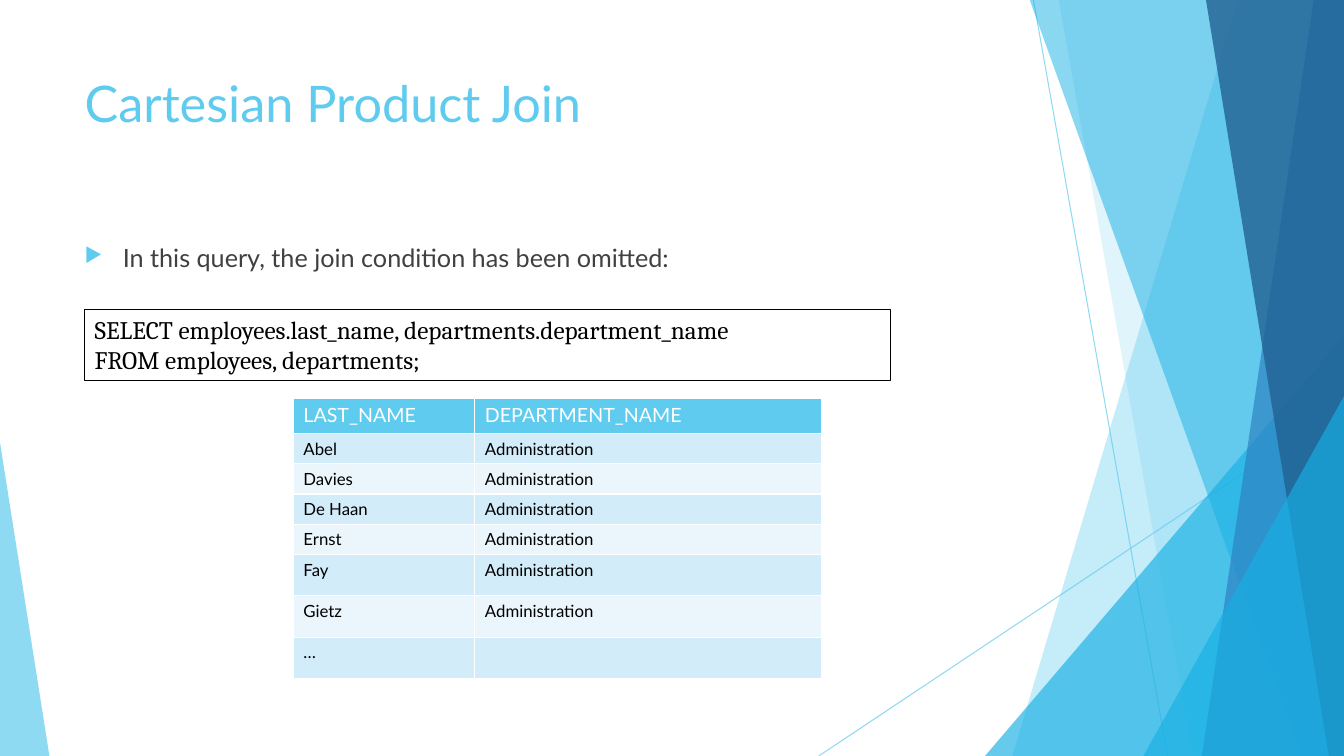
import dataclasses

import lxml.etree
import pptx
import pptx.dml.color
import pptx.enum.shapes
import pptx.enum.text
import pptx.oxml.ns
import pptx.util

Inches = pptx.util.Inches
RGBColor = pptx.dml.color.RGBColor
ShapeKind = pptx.enum.shapes.MSO_SHAPE
qn = pptx.oxml.ns.qn

SKY = RGBColor(0x5F, 0xCB, 0xEF)
CYAN = RGBColor(0x17, 0xB0, 0xE4)
BLUE = RGBColor(0x2E, 0x83, 0xC3)
NAVY = RGBColor(0x22, 0x62, 0x92)
BLACK = RGBColor(0, 0, 0)
WHITE = RGBColor(0xFF, 0xFF, 0xFF)
CHARCOAL = RGBColor(0x40, 0x40, 0x40)
DARK_BAND = RGBColor(0xD2, 0xEC, 0xF9)
LIGHT_BAND = RGBColor(0xEA, 0xF6, 0xFC)

WIDTH, HEIGHT, TOP = 13.33, 7.5, -0.01
BODY_FONT, CODE_FONT = "Lato", "Cambria"


@dataclasses.dataclass
class Ray:
    start: tuple[float, float]
    end: tuple[float, float]


@dataclasses.dataclass
class Ribbon:
    top_left: float
    bottom_left: float
    color: RGBColor
    opacity: int


@dataclasses.dataclass
class Corner:
    left: float
    top: float
    width: float
    apex: int
    color: RGBColor
    opacity: int


RAYS = [Ray((10.25, 0), (11.58, HEIGHT)), Ray((WIDTH, 4.03), (8.12, HEIGHT))]
FACETS = [
    Ribbon(12.28, 10.04, SKY, 36),
    Ribbon(10.5, 11.83, SKY, 20),
    Corner(9.77, 3.33, 3.56, 1, CYAN, 66),
    Ribbon(10.21, 12.91, CYAN, 50),
    Ribbon(13.03, 11.92, BLUE, 70),
    Ribbon(11.96, 13.18, NAVY, 80),
    Corner(11.34, 3.93, 1.99, 1, CYAN, 66),
    Corner(0, 4.39, 0.49, 0, SKY, 70),
]
QUERY = [
    "SELECT employees.last_name, departments.department_name",
    "FROM employees, departments;",
]
HEADINGS = ("LAST_NAME", "DEPARTMENT_NAME")
NAMES = ["Abel", "Davies", "De Haan", "Ernst", "Fay", "Gietz"]
ROWS = [HEADINGS, *((name, "Administration") for name in NAMES), ("…", "")]
COLUMN_WIDTHS = [1.8, 3.44]
ROW_HEIGHTS = [0.35] + [0.3] * 4 + [0.41] * 3


def set_opacity(fill_parent, opacity: int) -> None:
    color = next(fill_parent.iter(qn("a:srgbClr")))
    lxml.etree.SubElement(color, qn("a:alpha")).set("val", str(opacity * 1000))


def add_span(para, text: str, size: int, color: RGBColor, name: str = BODY_FONT) -> None:
    span = para.add_run()
    span.text = text
    span.font.size = pptx.util.Pt(size)
    span.font.name = name
    span.font.bold = False
    span.font.color.rgb = color


def draw_ray(page, ray: Ray) -> None:
    line = page.shapes.add_connector(
        pptx.enum.shapes.MSO_CONNECTOR.STRAIGHT,
        *(Inches(value) for value in ray.start + ray.end),
    )
    line.line.color.rgb = SKY
    line.line.width = pptx.util.Pt(0.75)
    properties = line._element.spPr
    set_opacity(properties, 70)
    lxml.etree.SubElement(properties, qn("a:effectLst"))


def draw_facet(page, facet: Ribbon | Corner) -> None:
    if isinstance(facet, Ribbon):
        builder = page.shapes.build_freeform(Inches(facet.top_left), Inches(TOP), 1.0)
        outline = [(WIDTH, TOP), (WIDTH, HEIGHT), (facet.bottom_left, HEIGHT)]
        builder.add_line_segments([(Inches(x), Inches(y)) for x, y in outline], close=True)
        shape = builder.convert_to_shape()
    else:
        shape = page.shapes.add_shape(
            ShapeKind.ISOSCELES_TRIANGLE, Inches(facet.left), Inches(facet.top),
            Inches(facet.width), Inches(HEIGHT - facet.top),
        )
        shape.adjustments[0] = facet.apex
    shape.shadow.inherit = False
    shape.fill.solid()
    shape.fill.fore_color.rgb = facet.color
    shape.line.fill.background()
    set_opacity(shape._element.spPr, facet.opacity)


def write_title(page) -> None:
    title = page.shapes.title
    title.left, title.top = Inches(0.74), Inches(0.67)
    title.width, title.height = Inches(9.4), Inches(1.44)
    frame = title.text_frame
    frame.auto_size = pptx.enum.text.MSO_AUTO_SIZE.NONE
    frame.vertical_anchor = pptx.enum.text.MSO_ANCHOR.TOP
    para = frame.paragraphs[0]
    para.alignment = pptx.enum.text.PP_ALIGN.LEFT
    add_span(para, "Cartesian Product Join", 36, SKY)


def write_bullet(page) -> None:
    box = page.shapes.add_textbox(Inches(0.74), Inches(2.36), Inches(9.4), Inches(0.7))
    box.text_frame.word_wrap = True
    para = box.text_frame.paragraphs[0]
    properties = para._p.get_or_add_pPr()
    properties.set("marL", str(Inches(0.38)))
    properties.set("indent", str(Inches(-0.38)))
    bullet_color = lxml.etree.SubElement(properties, qn("a:buClr"))
    lxml.etree.SubElement(bullet_color, qn("a:srgbClr")).set("val", str(SKY))
    lxml.etree.SubElement(properties, qn("a:buSzPct")).set("val", "80000")
    lxml.etree.SubElement(properties, qn("a:buChar")).set("char", "▶")
    add_span(para, "In this query, the join condition has been omitted:", 18, CHARCOAL)


def write_query(page) -> None:
    box = page.shapes.add_shape(
        ShapeKind.RECTANGLE, Inches(0.84), Inches(3.07), Inches(7.99), Inches(0.71)
    )
    box.shadow.inherit = False
    box.fill.background()
    box.line.color.rgb = BLACK
    box.line.width = pptx.util.Pt(0.75)
    frame = box.text_frame
    frame.word_wrap = True
    frame.vertical_anchor = pptx.enum.text.MSO_ANCHOR.TOP
    for index, text in enumerate(QUERY):
        para = frame.add_paragraph() if index else frame.paragraphs[0]
        para.alignment = pptx.enum.text.PP_ALIGN.LEFT
        add_span(para, text, 18, BLACK, CODE_FONT)


def draw_table(page) -> None:
    table = page.shapes.add_table(
        len(ROWS), len(HEADINGS), Inches(2.91), Inches(3.95),
        Inches(sum(COLUMN_WIDTHS)), Inches(sum(ROW_HEIGHTS)),
    ).table
    for column, width in zip(table.columns, COLUMN_WIDTHS):
        column.width = Inches(width)
    for index, (row, height, texts) in enumerate(zip(table.rows, ROW_HEIGHTS, ROWS)):
        row.height = Inches(height)
        band = DARK_BAND if index % 2 else LIGHT_BAND
        size, color, fill = (12, BLACK, band) if index else (14, WHITE, SKY)
        for cell, text in zip(row.cells, texts):
            cell.fill.solid()
            cell.fill.fore_color.rgb = fill
            if text:
                add_span(cell.text_frame.paragraphs[0], text, size, color)


def main() -> None:
    deck = pptx.Presentation()
    deck.slide_width, deck.slide_height = Inches(WIDTH), Inches(HEIGHT)
    page = deck.slides.add_slide(deck.slide_layouts.get_by_name("Title Only"))
    for ray in RAYS:
        draw_ray(page, ray)
    for facet in FACETS:
        draw_facet(page, facet)
    write_title(page)
    write_query(page)
    draw_table(page)
    write_bullet(page)
    deck.save("out.pptx")


if __name__ == "__main__":
    main()
